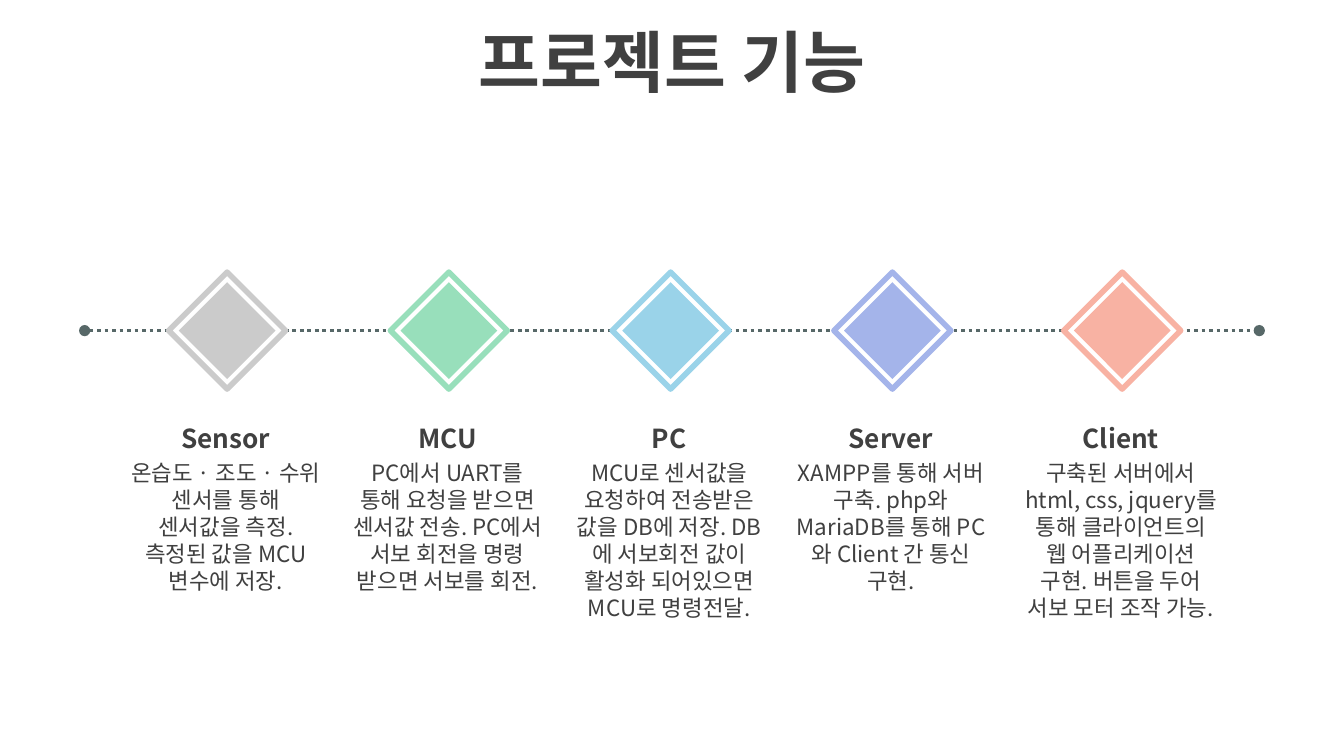
from dataclasses import dataclass

from lxml import etree
from pptx import Presentation
from pptx.dml.color import RGBColor
from pptx.enum.dml import MSO_LINE
from pptx.enum.shapes import MSO_CONNECTOR, MSO_SHAPE
from pptx.enum.text import MSO_ANCHOR, MSO_AUTO_SIZE, PP_ALIGN
from pptx.oxml.ns import qn
from pptx.util import Inches, Pt

DIAMOND = MSO_SHAPE.DIAMOND
STRAIGHT = MSO_CONNECTOR.STRAIGHT
DOTTED = MSO_LINE.ROUND_DOT  # written to the file as sysDot
CENTER = PP_ALIGN.CENTER
TOP, MIDDLE = MSO_ANCHOR.TOP, MSO_ANCHOR.MIDDLE
GROW, FIXED = MSO_AUTO_SIZE.SHAPE_TO_FIT_TEXT, MSO_AUTO_SIZE.NONE


@dataclass(frozen=True)
class Theme:
    font: str = "Noto Sans CJK KR"
    text: str = "404040"
    axis: str = "576868"
    white: str = "FFFFFF"
    title_size: int = 36
    heading_size: int = 14
    body_size: int = 12


THEME = Theme()

# centre x, colour, heading, description, height of the description
STAGES = [
    (1.69, "CBCBCB", "Sensor",
     "온습도 · 조도 · 수위 센서를 통해 센서값을 측정. 측정된 값을 MCU 변수에 저장.", 1.11),
    (3.34, "98DFBB", "MCU",
     "PC에서 UART를 통해 요청을 받으면 센서값 전송. PC에서 서보 회전을 명령 받으면 서보를 회전.", 1.31),
    (4.99, "9AD3E9", "PC",
     "MCU로 센서값을 요청하여 전송받은 값을 DB에 저장. "
     "DB에 서보회전 값이 활성화 되어있으면 MCU로 명령전달.", 1.51),
    (6.64, "A4B4EA", "Server",
     "XAMPP를 통해 서버 구축. php와 MariaDB를 통해 PC와 Client 간 통신 구현.", 1.11),
    (8.35, "F8B2A3", "Client",
     "구축된 서버에서 html, css, jquery를 통해 클라이언트의 웹 어플리케이션 구현. "
     "버튼을 두어 서보 모터 조작 가능.", 1.51),
]
AXIS_Y = 2.46
CAPTION_WIDTH = 1.64
CAPTION_OFFSET = 0.83


def add_text(slide, box, text, *, size, bold=False, anchor=TOP, auto_size=GROW):
    tb = slide.shapes.add_textbox(*map(Inches, box))
    tf = tb.text_frame
    tf.word_wrap = True
    tf.auto_size = auto_size
    tf.vertical_anchor = anchor
    p = tf.paragraphs[0]
    p.alignment = CENTER
    r = p.add_run()
    r.text = text
    r.font.size = Pt(size)
    r.font.bold = bold
    r.font.name = THEME.font
    r.font.color.rgb = RGBColor.from_string(THEME.text)
    east_asian = etree.SubElement(r.font._element, qn("a:ea"))
    east_asian.set("typeface", THEME.font)


def add_axis(slide, left, right, y):
    """Dotted line with a round dot at each end."""
    line = slide.shapes.add_connector(
        STRAIGHT, Inches(left), Inches(y), Inches(right), Inches(y))
    line.line.color.rgb = RGBColor.from_string(THEME.axis)
    line.line.width = Pt(2)
    line.line.dash_style = DOTTED
    ln = line.line._get_or_add_ln()
    for end in ("a:headEnd", "a:tailEnd"):
        etree.SubElement(ln, qn(end)).set("type", "oval")
    etree.SubElement(line._element.spPr, qn("a:effectLst"))


def add_diamond(slide, cx, cy, size, fill, outline=None):
    sp = slide.shapes.add_shape(
        DIAMOND, Inches(cx - size / 2), Inches(cy - size / 2),
        Inches(size), Inches(size))
    sp.shadow.inherit = False
    sp.fill.solid()
    sp.fill.fore_color.rgb = RGBColor.from_string(fill)
    if outline:
        sp.line.color.rgb = RGBColor.from_string(outline)
        sp.line.width = Pt(3)
    else:
        sp.line.fill.background()


def add_marker(slide, cx, cy, color):
    add_diamond(slide, cx, cy, 0.87, THEME.white, outline=color)
    add_diamond(slide, cx, cy, 0.72, color)


def add_caption(slide, left, top, width, heading, body, body_height):
    add_text(slide, (left, top + 0.28, width, body_height), body,
             size=THEME.body_size)
    add_text(slide, (left, top, width, 0.34), heading,
             size=THEME.heading_size, bold=True)


def build_slide(prs):
    slide = prs.slides.add_slide(prs.slide_layouts[6])
    add_axis(slide, 0.63, 9.37, AXIS_Y)
    for cx, color, heading, body, height in STAGES:
        add_marker(slide, cx, AXIS_Y, color)
        add_caption(slide, cx - CAPTION_OFFSET, AXIS_Y + 0.63, CAPTION_WIDTH,
                    heading, body, height)
    add_text(slide, (0, 0.14, 10, 0.63), "프로젝트 기능", size=THEME.title_size,
             bold=True, anchor=MIDDLE, auto_size=FIXED)


def main():
    prs = Presentation()
    prs.slide_width = Inches(10)
    prs.slide_height = prs.slide_width * 9 // 16
    build_slide(prs)
    prs.save("out.pptx")


if __name__ == "__main__":
    main()
